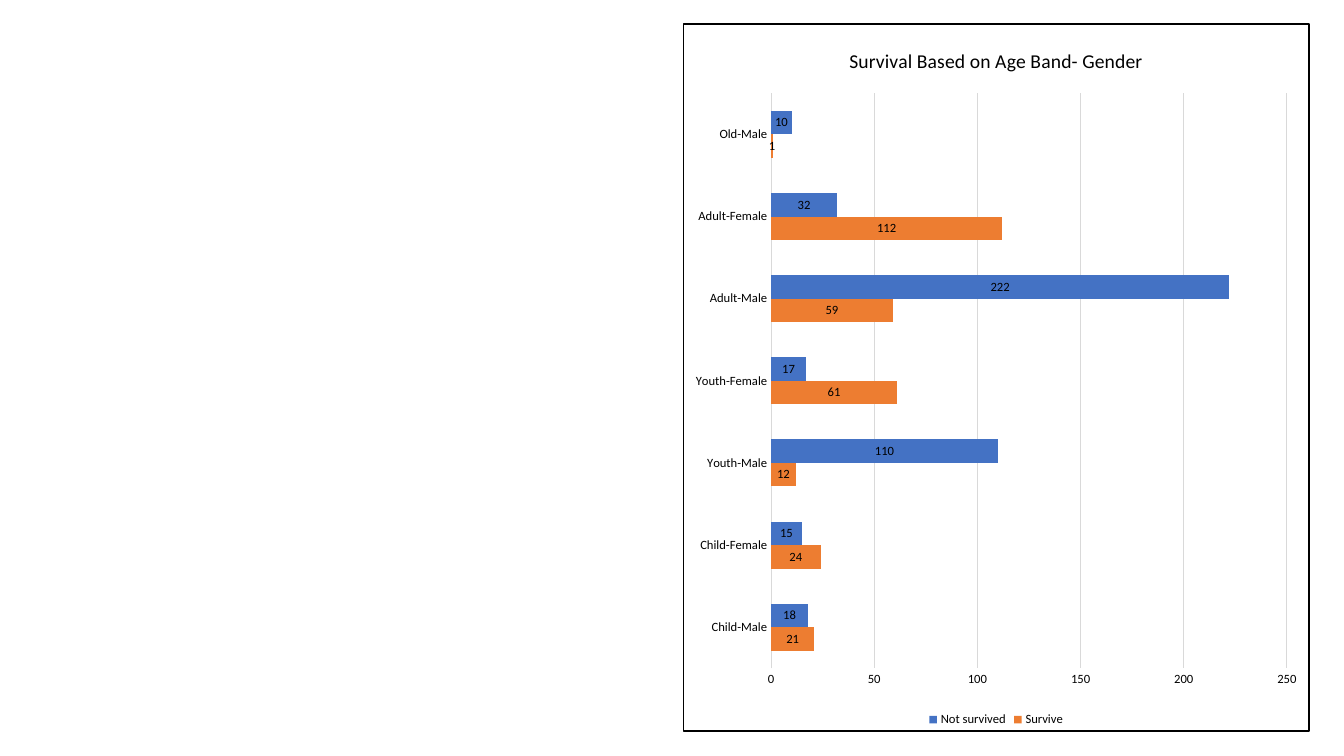
"""Build a slide with a bar chart of survival by age band and gender."""
from pptx import Presentation
from pptx.chart.data import CategoryChartData
from pptx.dml.color import RGBColor
from pptx.enum.chart import (XL_CHART_TYPE, XL_LABEL_POSITION,
                             XL_LEGEND_POSITION, XL_TICK_MARK)
from pptx.oxml import parse_xml
from pptx.util import Inches, Pt

BARS = XL_CHART_TYPE.BAR_CLUSTERED
CENTER = XL_LABEL_POSITION.CENTER
BOTTOM = XL_LEGEND_POSITION.BOTTOM
NO_TICK = XL_TICK_MARK.NONE
BLACK = RGBColor(0x00, 0x00, 0x00)
WHITE = RGBColor(0xFF, 0xFF, 0xFF)
GREY = RGBColor(0xD9, 0xD9, 0xD9)
ORANGE = RGBColor(0xED, 0x7D, 0x31)
BLUE = RGBColor(0x44, 0x72, 0xC4)
BANDS = ["Child-Male", "Child-Female", "Youth-Male", "Youth-Female",
         "Adult-Male", "Adult-Female", "Old-Male"]
GROUPS = [("Survive", [21, 24, 12, 61, 59, 112, 1], ORANGE),
          ("Not survived", [18, 15, 110, 17, 222, 32, 10], BLUE)]
FRAME = f"""<c:spPr
    xmlns:c="http://schemas.openxmlformats.org/drawingml/2006/chart"
    xmlns:a="http://schemas.openxmlformats.org/drawingml/2006/main">
  <a:solidFill><a:srgbClr val="{WHITE}"/></a:solidFill>
  <a:ln w="{Pt(1)}"><a:solidFill><a:srgbClr val="{BLACK}"/></a:solidFill></a:ln>
</c:spPr>"""


def style(item, values):
    for name, value in values.items():
        setattr(item, name, value)


def set_font(font, size):
    style(font, {"name": "Calibri", "size": Pt(size), "bold": False})
    font.color.rgb = BLACK


deck = Presentation()
style(deck, {"slide_width": Inches(13.33), "slide_height": Inches(7.5)})
slide = deck.slides.add_slide(deck.slide_layouts[6])

data = CategoryChartData()
data.categories = BANDS
for name, counts, color in GROUPS:
    data.add_series(name, counts)
chart = slide.shapes.add_chart(BARS, Inches(6.77), Inches(0.23), Inches(6.22),
                               Inches(7.03), data).chart
set_font(chart.font, 10)
chart.element.find("{*}txPr").addprevious(parse_xml(FRAME))

title = chart.chart_title.text_frame
title.text = "Survival Based on Age Band- Gender"
set_font(title.paragraphs[0].runs[0].font, 14)

chart.has_legend = True
style(chart.legend, {"position": BOTTOM, "include_in_layout": False})
set_font(chart.legend.font, 9)

for axis in (chart.category_axis, chart.value_axis):
    style(axis, {"major_tick_mark": NO_TICK, "minor_tick_mark": NO_TICK})
    set_font(axis.tick_labels.font, 9)
chart.value_axis.format.line.fill.background()
for line in (chart.category_axis.format.line,
             chart.value_axis.major_gridlines.format.line):
    line.color.rgb = GREY
    line.width = Pt(0.75)

plot = chart.plots[0]
style(plot, {"gap_width": 150, "overlap": 0, "vary_by_categories": False})
for series, (name, counts, color) in zip(plot.series, GROUPS):
    series.format.fill.solid()
    series.format.fill.fore_color.rgb = color
    labels = series.data_labels
    style(labels, {"show_value": True, "position": CENTER})
    set_font(labels.font, 9)

deck.save("out.pptx")
